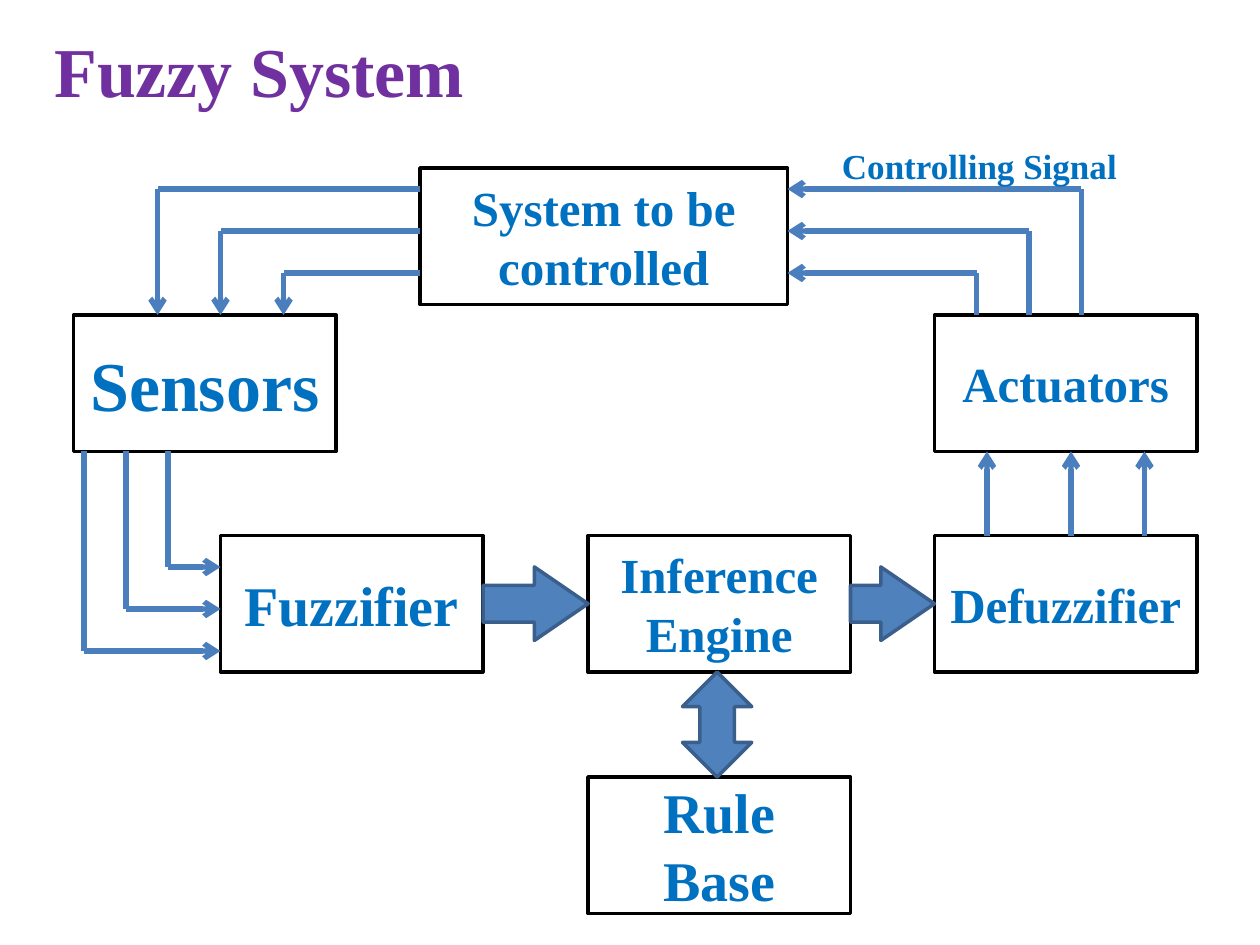
from dataclasses import dataclass
from itertools import pairwise

from lxml.etree import SubElement
from pptx import Presentation
from pptx.dml.color import RGBColor
from pptx.enum.shapes import MSO_CONNECTOR, MSO_SHAPE
from pptx.enum.text import MSO_ANCHOR, MSO_AUTO_SIZE, PP_ALIGN
from pptx.oxml.ns import qn
from pptx.slide import Slide
from pptx.text.text import TextFrame
from pptx.util import Pt

Point = tuple[float, float]


@dataclass(frozen=True)
class Theme:
    font: str = "Times New Roman"
    title: RGBColor = RGBColor(0x70, 0x30, 0xA0)
    label: RGBColor = RGBColor(0x00, 0x70, 0xC0)
    paper: RGBColor = RGBColor(0xFF, 0xFF, 0xFF)
    border: RGBColor = RGBColor(0x00, 0x00, 0x00)
    signal: RGBColor = RGBColor(0x4B, 0x7E, 0xBC)
    flow_fill: RGBColor = RGBColor(0x4F, 0x81, 0xBD)
    flow_border: RGBColor = RGBColor(0x3A, 0x5F, 0x8C)
    huge: int = 40
    large: int = 32
    medium: int = 28
    small: int = 20
    border_width: int = 2
    signal_width: int = 3


THEME = Theme()
STAGE_HEIGHT = 78


@dataclass(frozen=True)
class Stage:
    label: str
    left: float
    top: float
    size: int = THEME.medium
    width: float = 150

    @property
    def right(self) -> float:
        return self.left + self.width

    @property
    def bottom(self) -> float:
        return self.top + STAGE_HEIGHT


@dataclass(frozen=True)
class Flow:
    """A block arrow between two stages."""
    kind: MSO_SHAPE
    left: float
    top: float
    width: float
    height: float
    adjustments: tuple[float, float]


def add_label(frame: TextFrame, label: str, size: int, color: RGBColor,
              align: PP_ALIGN) -> None:
    frame.word_wrap = True
    paragraph = frame.paragraphs[0]
    paragraph.alignment = align
    run = paragraph.add_run()
    run.text = label
    run.font.name = THEME.font
    run.font.size = Pt(size)
    run.font.bold = True
    run.font.color.rgb = color


def add_caption(slide: Slide, label: str, left: float, top: float, width: float,
                height: float, size: int, color: RGBColor) -> None:
    caption = slide.shapes.add_textbox(Pt(left), Pt(top), Pt(width), Pt(height))
    add_label(caption.text_frame, label, size, color, PP_ALIGN.LEFT)
    caption.text_frame.auto_size = MSO_AUTO_SIZE.SHAPE_TO_FIT_TEXT


def add_block(slide: Slide, kind: MSO_SHAPE, left: float, top: float, width: float,
              height: float, fill: RGBColor, border: RGBColor):
    block = slide.shapes.add_shape(kind, Pt(left), Pt(top), Pt(width), Pt(height))
    block.shadow.inherit = False
    block.fill.solid()
    block.fill.fore_color.rgb = fill
    block.line.color.rgb = border
    block.line.width = Pt(THEME.border_width)
    return block


def add_stage(slide: Slide, stage: Stage) -> None:
    block = add_block(slide, MSO_SHAPE.RECTANGLE, stage.left, stage.top, stage.width,
                      STAGE_HEIGHT, THEME.paper, THEME.border)
    block.text_frame.vertical_anchor = MSO_ANCHOR.MIDDLE
    add_label(block.text_frame, stage.label, stage.size, THEME.label, PP_ALIGN.CENTER)


def add_flow(slide: Slide, flow: Flow) -> None:
    block = add_block(slide, flow.kind, flow.left, flow.top, flow.width, flow.height,
                      THEME.flow_fill, THEME.flow_border)
    for index, value in enumerate(flow.adjustments):
        block.adjustments[index] = value


def add_signal(slide: Slide, *corners: Point) -> None:
    """Draw straight lines through the corners, with an arrowhead at the last one."""
    for start, end in pairwise(corners):
        segment = slide.shapes.add_connector(
            MSO_CONNECTOR.STRAIGHT, *(Pt(value) for value in (*start, *end)))
        segment.line.color.rgb = THEME.signal
        segment.line.width = Pt(THEME.signal_width)
        properties = segment.line._get_or_add_ln()
        if end == corners[-1]:
            SubElement(properties, qn("a:tailEnd"), type="arrow")
        SubElement(properties.getparent(), qn("a:effectLst"))


def main() -> None:
    presentation = Presentation()
    presentation.slide_width, presentation.slide_height = Pt(720), Pt(540)
    slide = presentation.slides.add_slide(presentation.slide_layouts[6])

    add_caption(slide, "Fuzzy System", 24, 12, 678, 55.5, THEME.huge, THEME.title)

    system = Stage("System to be controlled", 240, 96, width=210)
    sensors = Stage("Sensors", 42, 180, THEME.huge)
    fuzzifier = Stage("Fuzzifier", 126, 306, THEME.large)
    engine = Stage("Inference Engine", 336, 306)
    rules = Stage("Rule Base", 336, 444, THEME.large)
    defuzzifier = Stage("Defuzzifier", 534, 306)
    actuators = Stage("Actuators", 534, 180)
    for stage in (system, sensors, fuzzifier, engine, rules, defuzzifier, actuators):
        add_stage(slide, stage)

    for lane in range(3):
        system_y = 108 + 24 * lane
        sensor_x = 90 + 36 * lane
        add_signal(slide, (system.left, system_y), (sensor_x, system_y),
                   (sensor_x, sensors.top))

        reading_x, reading_y = 96 - 24 * lane, 324 + 24 * lane
        add_signal(slide, (reading_x, sensors.bottom), (reading_x, reading_y),
                   (fuzzifier.left, reading_y))

        control_x = 618 - 30 * lane
        add_signal(slide, (control_x, actuators.top), (control_x, system_y),
                   (system.right, system_y))

    for output_x in (564, 612, 654):
        add_signal(slide, (output_x, defuzzifier.top), (output_x, actuators.bottom))

    flows = [
        Flow(MSO_SHAPE.RIGHT_ARROW, source.right, 324, target.left - source.right, 42,
             (0.5, 0.73))
        for source, target in pairwise((fuzzifier, engine, defuzzifier))
    ]
    flows.append(Flow(MSO_SHAPE.UP_DOWN_ARROW, 390, engine.bottom, 39.6,
                      rules.top - engine.bottom, (0.5, 0.5)))
    for flow in flows:
        add_flow(slide, flow)

    add_caption(slide, "Controlling Signal", 474, 79.2, 204, 31.5, THEME.small,
                THEME.label)
    presentation.save("out.pptx")


if __name__ == "__main__":
    main()
